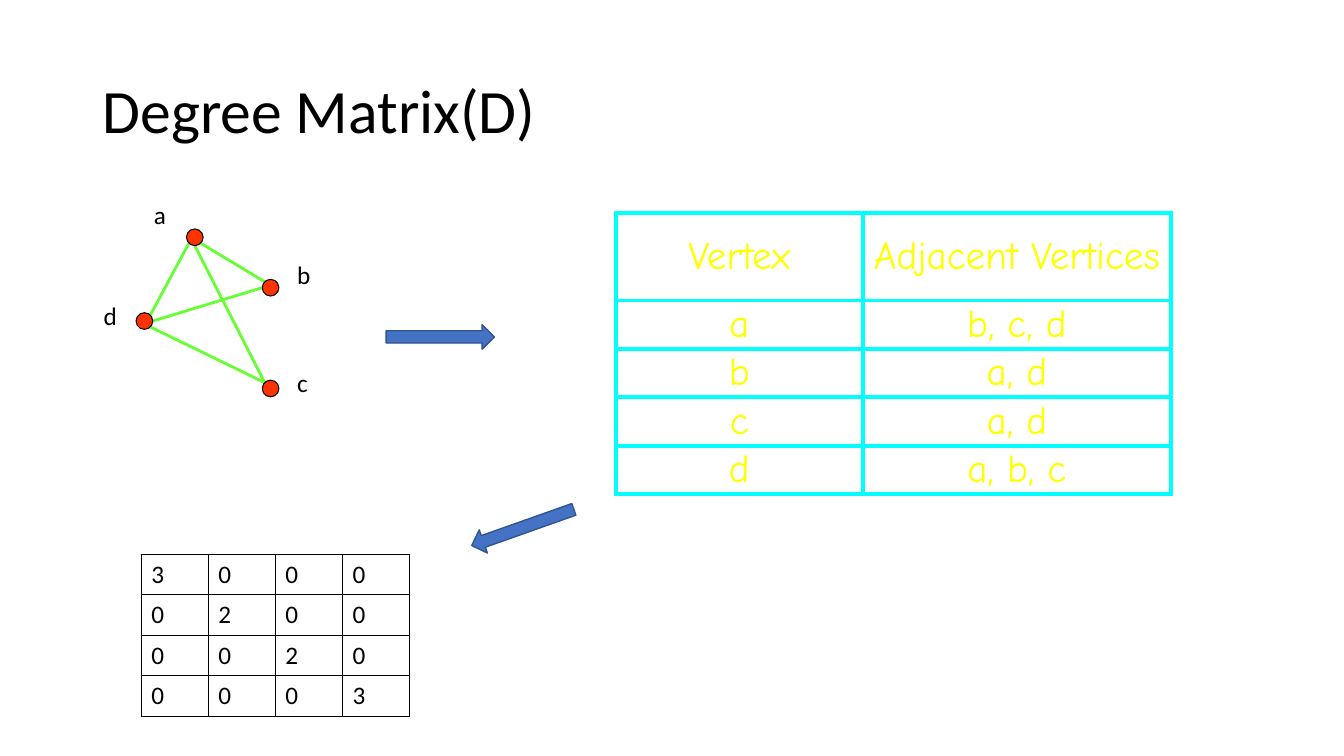
import math

import lxml.etree
import pptx
import pptx.dml.color
import pptx.enum.shapes
import pptx.enum.text
import pptx.oxml.ns
import pptx.util

Cm = pptx.util.Cm
Pt = pptx.util.Pt
SHAPES = pptx.enum.shapes.MSO_SHAPE
ALIGN = pptx.enum.text.PP_ALIGN
ANCHOR = pptx.enum.text.MSO_ANCHOR
qn = pptx.oxml.ns.qn

COLORS = {
    "text": "000000", "vertex": "FF3300", "edge": "66FF33", "grid": "00FFFF",
    "adjacency": "FFFF00", "arrow": "4472C4", "arrow_line": "325491",
}
TITLE = "Degree Matrix(D)"
ADJACENCY = [
    ("Vertex", "Adjacent Vertices"),
    ("a", "b, c, d"),
    ("b", "a, d"),
    ("c", "a, d"),
    ("d", "a, b, c"),
]
DEGREES = [3, 2, 2, 3]
MATRIX = [[str(degree) if column == row else "0" for column in range(len(DEGREES))]
          for row, degree in enumerate(DEGREES)]

# Centimetres: vertex centre, then top left of its label
VERTICES = {
    "a": ((4.91, 5.98), (3.63, 4.9)),
    "b": ((6.82, 7.25), (7.24, 6.4)),
    "c": ((6.82, 9.79), (7.24, 9.14)),
    "d": ((3.64, 8.09), (2.36, 7.44)),
}
VERTEX_SIZE = 0.42
LABEL_SIZE = (1.7, 1.45)
# Start vertex, angle on its rim, end vertex, angle on its rim (clockwise from right)
EDGES = [
    ("a", 45, "b", 225),
    ("d", 315, "a", 135),
    ("a", 90, "c", 225),
    ("d", 0, "b", 180),
    ("d", 45, "c", 225),
]
ARROW_SIZE = (2.73, 0.62)
ARROWS = [(9.73, 8.18, 0), (11.81, 12.98, 160.5)]


def rgb(name):
    return pptx.dml.color.RGBColor.from_string(COLORS[name])


def set_text(frame, text, font="Calibri", size=18, color="text",
             align=ALIGN.LEFT, anchor=ANCHOR.TOP, spacing=None):
    frame.word_wrap = True
    frame.vertical_anchor = anchor
    paragraph = frame.paragraphs[0]
    paragraph.alignment = align
    paragraph.line_spacing = spacing
    run = paragraph.add_run()
    run.text = text
    run.font.name = font
    run.font.size = Pt(size)
    run.font.color.rgb = rgb(color)


def add_shape(slide, kind, left, top, width, height, fill, line, line_width):
    shape = slide.shapes.add_shape(kind, Cm(left), Cm(top), Cm(width), Cm(height))
    shape.shadow.inherit = False
    shape.fill.solid()
    shape.fill.fore_color.rgb = rgb(fill)
    shape.line.color.rgb = rgb(line)
    shape.line.width = Pt(line_width)
    return shape


def rim_point(vertex, angle):
    (x, y), _ = VERTICES[vertex]
    radius = VERTEX_SIZE / 2
    turn = math.radians(angle)
    return Cm(x + radius * math.cos(turn)), Cm(y + radius * math.sin(turn))


def add_graph(slide):
    for start, start_angle, end, end_angle in EDGES:
        edge = slide.shapes.add_connector(
            pptx.enum.shapes.MSO_CONNECTOR.STRAIGHT,
            *rim_point(start, start_angle), *rim_point(end, end_angle))
        edge.line.color.rgb = rgb("edge")
        edge.line.width = Pt(2)
        lxml.etree.SubElement(edge._element.spPr, qn("a:effectLst"))
    for name, ((x, y), label_position) in VERTICES.items():
        add_shape(slide, SHAPES.FLOWCHART_CONNECTOR, x - VERTEX_SIZE / 2, y - VERTEX_SIZE / 2,
                  VERTEX_SIZE, VERTEX_SIZE, "vertex", "text", 0.75)
        label = slide.shapes.add_textbox(*map(Cm, label_position + LABEL_SIZE))
        set_text(label.text_frame, name)


def set_borders(cell, color, width):
    properties = cell._tc.get_or_add_tcPr()
    for index, side in enumerate(("lnL", "lnR", "lnT", "lnB")):
        border = lxml.etree.Element(qn("a:" + side), w=str(Pt(width)))
        fill = lxml.etree.SubElement(border, qn("a:solidFill"))
        lxml.etree.SubElement(fill, qn("a:srgbClr"), val=COLORS[color])
        properties.insert(index, border)


def add_grid(slide, rows, left, top, widths, heights, border, border_width,
             margins=None, **text_format):
    frame = slide.shapes.add_table(len(rows), len(widths), Cm(left), Cm(top),
                                   Cm(sum(widths)), Cm(sum(heights)))
    table = frame.table
    table.first_row = table.horz_banding = False
    for column, width in zip(table.columns, widths):
        column.width = Cm(width)
    for row, height, texts in zip(table.rows, heights, rows):
        row.height = Cm(height)
        for cell, text in zip(row.cells, texts):
            cell.fill.background()
            if margins is not None:
                cell.margin_left = cell.margin_right = Cm(margins)
                cell.margin_top = cell.margin_bottom = Cm(margins)
            set_text(cell.text_frame, text, **text_format)
            cell.vertical_anchor = text_format.get("anchor", ANCHOR.TOP)
            # The frame of a cell has its own wrap setting, which tables do not need
            set_borders(cell, border, border_width)


def main():
    presentation = pptx.Presentation()
    presentation.slide_width, presentation.slide_height = Cm(33.87), Cm(19.05)
    slide = presentation.slides.add_slide(presentation.slide_layouts[5])

    title = slide.shapes.title
    title.left, title.top, title.width, title.height = map(Cm, (2.33, 1.01, 29.21, 3.68))
    set_text(title.text_frame, TITLE, size=44, anchor=ANCHOR.MIDDLE, spacing=0.9)

    add_graph(slide)
    add_grid(slide, ADJACENCY, 15.52, 5.36, [6.22, 7.77], [2.21] + [1.22] * 4, "grid", 3,
             margins=0, font="Comic Neue", size=28, color="adjacency",
             align=ALIGN.CENTER, anchor=ANCHOR.MIDDLE)
    add_grid(slide, MATRIX, 3.56, 13.97, [1.69] * 4, [1.02] * 4, "text", 1)

    for left, top, rotation in ARROWS:
        arrow = add_shape(slide, SHAPES.RIGHT_ARROW, left, top, *ARROW_SIZE,
                          "arrow", "arrow_line", 1)
        arrow.rotation = rotation

    presentation.save("out.pptx")


if __name__ == "__main__":
    main()
